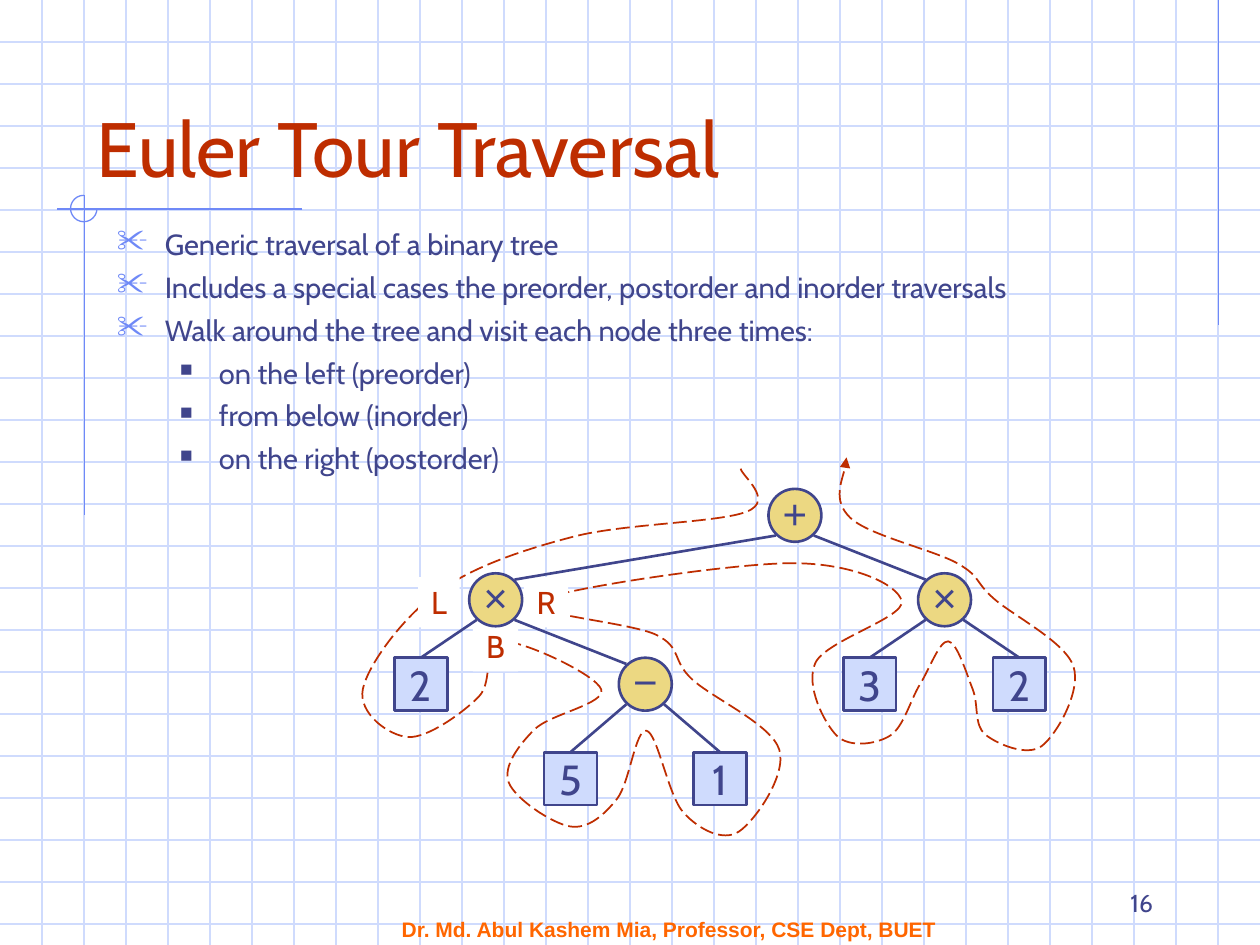
from dataclasses import dataclass
from lxml import etree
from pptx import Presentation, util as u
from pptx.dml.color import RGBColor
from pptx.enum import dml, shapes, text
from pptx.oxml.ns import qn

GRID = RGBColor(0xCF, 0xDB, 0xFD)
BLUE = RGBColor(0x6F, 0x89, 0xF7)
NAVY = RGBColor(0x40, 0x45, 0x8C)
RED = RGBColor(0xBE, 0x2D, 0x00)
GOLD = RGBColor(0xEC, 0xD8, 0x82)
ORANGE = RGBColor(0xFF, 0x66, 0x00)
WHITE = RGBColor(0xFF, 0xFF, 0xFF)
KIND = shapes.MSO_SHAPE
SIZE = 0.42
FIRST, LAST = 3.34, 8.09
LEVELS = (4.09, 4.76, 5.43, 6.18)


@dataclass
class Node:
    """A tree node; before, below and after are tour stops relative to its centre."""
    sign: str
    before: list
    below: list
    after: list
    kids: tuple = ()
    x: float = 0
    y: float = 0


def make_tree():
    """Return the root of the expression tree, placed on the slide."""
    two = Node("2", [(-0.46, 0.04)], [(-0.1, 0.42)], [(0.46, 0.1)])
    five = Node("5", [(-0.49, 0.03)], [(0, 0.38)], [(0.37, 0.16)])
    one = Node("1", [(-0.29, 0.27)], [(0.15, 0.42)], [(0.47, -0.23)])
    three = Node("3", [(-0.43, -0.17)], [(-0.26, 0.41)], [(0.16, 0.41), (0.4, 0)])
    last = Node("2", [(-0.37, 0.04), (-0.27, 0.4)], [(0.18, 0.49)], [(0.43, -0.14)])
    minus = Node("−", [(-0.35, 0.04), (-0.88, 0.36)], [(0.01, 0.37)],
                 [(0.37, -0.04), (0.09, -0.39)], (five, one))
    left = Node("×", [(-0.46, -0.06)], [(0.05, 0.33)], [(0.33, 0.01)], (two, minus))
    right = Node("×", [(-0.34, 0.01)], [(0.03, 0.33)],
                 [(0.39, -0.01), (0.1, -0.29)], (three, last))
    root = Node("+", [(-0.43, -0.37), (-0.38, -0.03), (-1.76, 0.17)], [(-0.02, 0.38)],
                [(0.44, 0.02), (0.41, -0.46)], (left, right))
    order = list(inorder(root))
    for i, (node, depth) in enumerate(order):
        node.x = FIRST + i * (LAST - FIRST) / (len(order) - 1)
        node.y = LEVELS[depth]
    return root


def inorder(node, depth=0):
    """Yield each node with its depth, from left to right."""
    if node.kids:
        yield from inorder(node.kids[0], depth + 1)
    yield node, depth
    if node.kids:
        yield from inorder(node.kids[1], depth + 1)


def walk(node):
    """Return the stops of the Euler tour: left, below and right of each node."""
    before, below, after = (
        [(node.x + dx, node.y + dy) for dx, dy in stops]
        for stops in (node.before, node.below, node.after))
    first, second = map(walk, node.kids) if node.kids else ([], [])
    return before + first + below + second + after


def add_line(slide, x1, y1, x2, y2, color, width=0.75):
    """Draw a straight line."""
    line = slide.shapes.add_connector(
        shapes.MSO_CONNECTOR.STRAIGHT, *map(u.Inches, (x1, y1, x2, y2)))
    line.line.color.rgb = color
    line.line.width = u.Pt(width)
    etree.SubElement(line._element.spPr, qn("a:effectLst"))


def bend(stops):
    """Return three Bezier points per leg; tangents follow the neighbouring stops."""
    ends = [stops[0], *stops, stops[-1]]
    points = []
    for prior, start, stop, later in zip(ends, ends[1:], ends[2:], ends[3:]):
        points.append(tuple(b + (c - a) / 6 for a, b, c in zip(prior, start, stop)))
        points.append(tuple(b - (c - a) / 6 for a, b, c in zip(start, stop, later)))
        points.append(stop)
    return points


def add_tour(slide, stops):
    """Draw a smooth dashed arrow through the stops."""
    spots = [(u.Inches(x), u.Inches(y)) for x, y in [stops[0], *bend(stops)]]
    pen = slide.shapes.build_freeform(*spots[0])
    pen.add_line_segments(spots[1:], close=False)
    tour = pen.convert_to_shape()
    legs = list(tour._element.iter(qn("a:lnTo")))
    for i in range(0, len(legs), 3):
        curve = etree.Element(qn("a:cubicBezTo"))
        legs[i].addprevious(curve)
        for leg in legs[i:i + 3]:
            curve.append(leg[0])
            leg.getparent().remove(leg)
    tour.shadow.inherit = False
    tour.fill.background()
    tour.line.color.rgb = RED
    tour.line.width = u.Pt(1)
    tour.line.dash_style = dml.MSO_LINE.LONG_DASH
    etree.SubElement(tour.line._get_or_add_ln(), qn("a:tailEnd"), type="triangle")


def set_font(par, size, color, name="Cabin", bold=False):
    """Style a whole paragraph."""
    font = par.font
    font.name, font.size, font.bold = name, u.Pt(size), bold
    font.color.rgb = color


def add_text(slide, words, box, size, color, anchor, align=text.PP_ALIGN.LEFT, **font):
    """Add a text box with one paragraph."""
    frame = slide.shapes.add_textbox(*map(u.Inches, box)).text_frame
    frame.word_wrap = True
    frame.vertical_anchor = anchor
    par = frame.paragraphs[0]
    par.text, par.alignment = words, align
    set_font(par, size, color, **font)


def add_list(slide, items, box):
    """Add a bulleted list of (level, words) items."""
    frame = slide.shapes.add_textbox(*map(u.Inches, box)).text_frame
    frame.word_wrap = True
    looks = [("✂", BLUE, 110, 0.38, 0.38), ("■", NAVY, 60, 0.81, 0.31)]
    for i, (level, words) in enumerate(items):
        par = frame.add_paragraph() if i else frame.paragraphs[0]
        par.text, par.level, par.space_before = words, level, u.Pt(4.5)
        mark, color, scale, left, hang = looks[level]
        props = par._p.get_or_add_pPr()
        props.set("marL", str(u.Inches(left)))
        props.set("indent", str(-u.Inches(hang)))
        tint = etree.SubElement(props, qn("a:buClr"))
        etree.SubElement(tint, qn("a:srgbClr"), val=str(color))
        etree.SubElement(props, qn("a:buSzPct"), val=str(scale * 1000))
        etree.SubElement(props, qn("a:buChar"), char=mark)
        set_font(par, 16.6, NAVY)


def add_mark(slide, kind, sign, x, y, wide, high, fill, size, color, edge=None, name="Cabin"):
    """Add a filled shape with a sign, centred on a point."""
    box = (x - wide / 2, y - high / 2, wide, high)
    shape = slide.shapes.add_shape(kind, *map(u.Inches, box))
    shape.shadow.inherit = False
    shape.fill.solid()
    shape.fill.fore_color.rgb = fill
    if edge:
        shape.line.color.rgb = edge
        shape.line.width = u.Pt(1.5)
    else:
        shape.line.fill.background()
    frame = shape.text_frame
    frame.word_wrap = False
    frame.vertical_anchor = text.MSO_ANCHOR.MIDDLE
    if kind == KIND.OVAL:
        frame.margin_left = frame.margin_right = frame.margin_top = 0
    par = frame.paragraphs[0]
    par.text, par.alignment = sign, text.PP_ALIGN.CENTER
    set_font(par, size, color, name)


def add_back(slide):
    """Draw the squared paper, the margin rules and the open circle."""
    for i in range(1, 23):
        add_line(slide, 0, i / 3, 10, i / 3, GRID)
    for i in range(1, 30):
        add_line(slide, i / 3, 0, i / 3, 7.5, GRID)
    for ends in [(9.67, 0, 9.67, 2.58), (2.4, 1.66, 0.45, 1.66), (0.67, 1.55, 0.67, 4.09)]:
        add_line(slide, *ends, BLUE)
    arc = slide.shapes.add_shape(KIND.ARC, *map(u.Inches, (0.56, 1.55, 0.21, 0.21)))
    arc.adjustments[0], arc.adjustments[1] = 0, 162
    arc.shadow.inherit = False
    arc.fill.background()
    arc.line.color.rgb = BLUE
    arc.line.width = u.Pt(0.75)


def add_tree(slide, root):
    """Draw the tour, the L, B, R labels, then the edges and nodes."""
    add_tour(slide, walk(root))
    left = root.kids[0]
    for sign, dx, dy, wide in [("L", -0.45, 0.02, 0.33), ("B", 0, 0.37, 0.36), ("R", 0.4, 0.02, 0.35)]:
        add_mark(slide, KIND.RECTANGLE, sign, left.x + dx, left.y + dy, wide, 0.4, WHITE, 18, RED)
    nodes = [node for node, _ in inorder(root)]
    for node in nodes:
        for kid, dx in zip(node.kids, (-0.15, 0.15)):
            end = (kid.x - dx, kid.y - 0.16) if kid.kids else (kid.x, kid.y - SIZE / 2)
            add_line(slide, node.x + dx, node.y + 0.16, *end, NAVY, 1.5)
    for node in nodes:
        kind, fill, name = (KIND.OVAL, GOLD, "Arial") if node.kids else (KIND.RECTANGLE, GRID, "Cabin")
        add_mark(slide, kind, node.sign, node.x, node.y, SIZE, SIZE, fill, 24, NAVY, NAVY, name)


def main():
    """Build the slide and save it."""
    deck = Presentation()
    deck.slide_width, deck.slide_height = u.Inches(10), u.Inches(7.5)
    slide = deck.slides.add_slide(deck.slide_layouts[6])
    anchor = text.MSO_ANCHOR
    add_back(slide)
    add_text(slide, "Dr. Md. Abul Kashem Mia, Professor, CSE Dept, BUET",
             (3.09, 7.28, 4.67, 0.18), 12, ORANGE, anchor.MIDDLE, name="Arial", bold=True)
    add_text(slide, "16", (7.17, 6.83, 2.08, 0.5), 14, NAVY, anchor.BOTTOM, text.PP_ALIGN.RIGHT)
    add_text(slide, "Euler Tour Traversal", (0.67, 0.33, 8.5, 1.25), 44, RED, anchor.BOTTOM)
    points = ["Generic traversal of a binary tree",
              "Includes a special cases the preorder, postorder and inorder traversals",
              "Walk around the tree and visit each node three times:"]
    visits = ["on the left (preorder)", "from below (inorder)", "on the right (postorder)"]
    items = [(0, words) for words in points] + [(1, words) for words in visits]
    add_list(slide, items, (0.83, 1.75, 8.67, 2.33))
    add_tree(slide, make_tree())
    deck.save("out.pptx")


if __name__ == "__main__":
    main()
